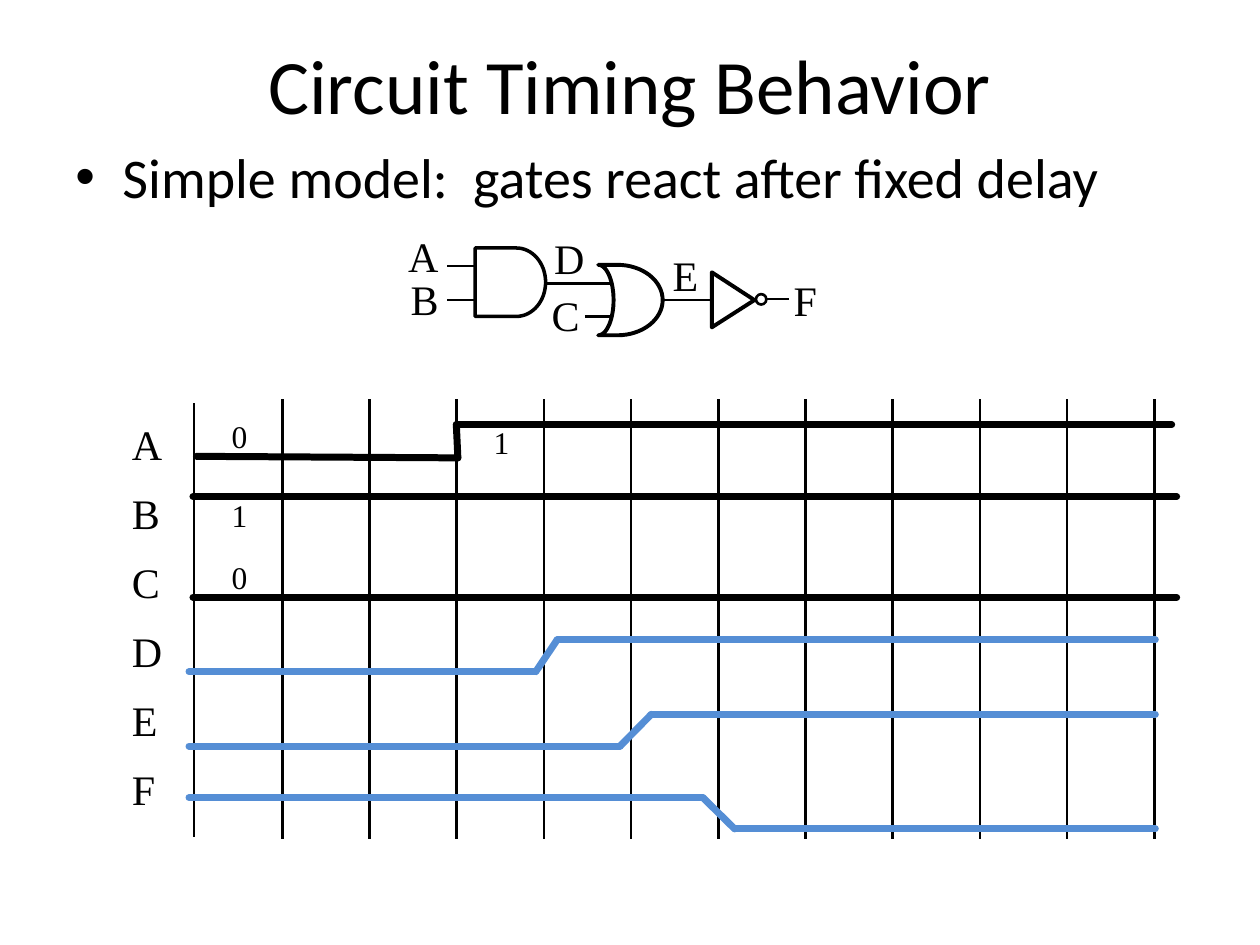
from itertools import pairwise
from math import cos, pi, sin

from lxml import etree
from pptx import Presentation
from pptx.dml.color import RGBColor
from pptx.enum import shapes, text
from pptx.oxml.ns import qn
from pptx.util import Cm, Pt

HUES = {"ink": "000000", "out": "558ED5"}
SANS, SERIF = "Calibri", "Times New Roman"

# All places are in centimetres.
TITLE = "Circuit Timing Behavior"
POINT = "Simple model:  gates react after fixed delay"
SIGNALS = ["A", "B", "C", "D", "E", "F"]
PINS = [("A", 7.98, 4.52), ("B", 8.03, 5.38), ("C", 10.87, 5.72),
        ("D", 10.92, 4.57), ("E", 13.31, 4.9), ("F", 15.75, 5.41)]
LEVELS = [("0", 4.42, 8.28), ("1", 4.42, 9.88), ("0", 4.42, 11.13), ("1", 9.7, 8.41)]
WIRES = [(9.02, 9.58, 5.36), (9.02, 9.58, 6.05), (10.97, 12.29, 5.71),
         (11.79, 12.29, 6.38), (13.36, 14.35, 6.05), (15.47, 15.9, 6.03)]
WAVES = [
    ("ink", [(3.96, 9.2), (9.23, 9.23), (9.2, 8.56), (23.62, 8.56)]),
    ("ink", [(3.89, 10.01), (23.72, 10.01)]),
    ("ink", [(3.89, 12.04), (23.72, 12.04)]),
    ("out", [(3.81, 13.54), (10.8, 13.54), (11.23, 12.9), (23.29, 12.9)]),
    ("out", [(3.81, 15.04), (12.5, 15.04), (13.13, 14.4), (23.29, 14.4)]),
    ("out", [(3.81, 16.08), (14.17, 16.08), (14.81, 16.71), (23.29, 16.71)]),
]
FIRST, LAST, STEPS = 5.69, 23.27, 10
TOP, BASE = 8.05, 16.92

deck = Presentation()
deck.slide_width, deck.slide_height = Cm(25.4), Cm(19.05)
page = deck.slides.add_slide(deck.slide_layouts[6])


def hue(name):
    return RGBColor.from_string(HUES[name])


def write(lines, x, y, w, h, size=24, font=SERIF, wrap=False, after=0,
          align=text.PP_ALIGN.LEFT, anchor=text.MSO_ANCHOR.TOP, bullet=None):
    frame = page.shapes.add_textbox(Cm(x), Cm(y), Cm(w), Cm(h)).text_frame
    frame.word_wrap = wrap
    frame.vertical_anchor = anchor
    frame.text = "\n".join(lines)
    for para in frame.paragraphs:
        if bullet:
            props = para._p.get_or_add_pPr()
            props.set("marL", str(Cm(0.95)))
            props.set("indent", str(Cm(-0.95)))
            mark = etree.SubElement(props, qn("a:buFont"))
            mark.set("typeface", "Arial")
            etree.SubElement(props, qn("a:buChar")).set("char", bullet)
        para.alignment = align
        para.space_after = Pt(after)
        para.font.size, para.font.name = Pt(size), font
        para.font.color.rgb = hue("ink")


def draw(start, end, width=1.5, tint="ink", cap="flat"):
    ends = [Cm(v) for v in (*start, *end)]
    link = page.shapes.add_connector(shapes.MSO_CONNECTOR.STRAIGHT, *ends)
    link.line.color.rgb = hue(tint)
    link.line.width = Pt(width)
    props = link._element.spPr
    props.find(qn("a:ln")).set("cap", cap)
    etree.SubElement(props, qn("a:effectLst"))


def style(shape, width):
    shape.shadow.inherit = False
    shape.fill.background()
    shape.line.color.rgb = hue("ink")
    shape.line.width = Pt(width)


def arc(x, y, rx, ry, count=32):
    """Points of a right half ellipse, from top to bottom."""
    turns = [pi * i / count - pi / 2 for i in range(count + 1)]
    return [(x + rx * cos(t), y + ry * sin(t)) for t in turns]


def gate(points, width):
    spots = [(Cm(x), Cm(y)) for x, y in points]
    pen = page.shapes.build_freeform(*spots[0], scale=1)
    pen.add_line_segments(spots[1:], close=True)
    style(pen.convert_to_shape(), width)


write([TITLE], 1.27, -0.43, 22.86, 3.18, size=44, font=SANS, wrap=True,
      align=text.PP_ALIGN.CENTER, anchor=text.MSO_ANCHOR.BOTTOM)
write([POINT], 1.27, 2.74, 22.86, 14.27, size=32, font=SANS, wrap=True, bullet="•")
write(SIGNALS, 2.41, 8.31, 1.12, 8.56, after=10.7)

# Circuit: AND, OR, inverter
for x, end, y in WIRES:
    draw((x, y), (end, y))
gate([(9.58, 5), *arc(10.41, 5.69, 0.59, 0.69), (9.58, 6.38)], 2)
gate(arc(12.45, 6.05, 0.91, 0.71) + arc(12.06, 6.05, 0.31, 0.71)[::-1], 2.25)
gate([(14.35, 5.49), (15.21, 6.05), (14.35, 6.6)], 2.25)
bubble = page.shapes.add_shape(shapes.MSO_SHAPE.OVAL, Cm(15.24), Cm(5.93), Cm(0.21), Cm(0.21))
style(bubble, 1.5)
for name, x, y in PINS:
    write([name], x, y, 1.07, 1.27)

# Timing chart
draw((3.91, 8.13), (3.91, 16.87))
for i in range(STEPS + 1):
    x = FIRST + (LAST - FIRST) * i / STEPS
    draw((x, TOP), (x, BASE))
for tint, points in WAVES:
    for start, end in pairwise(points):
        draw(start, end, width=4, tint=tint, cap="rnd")
for value, x, y in LEVELS:
    write([value], x, y, 0.81, 1.02, size=18)

deck.save("out.pptx")
